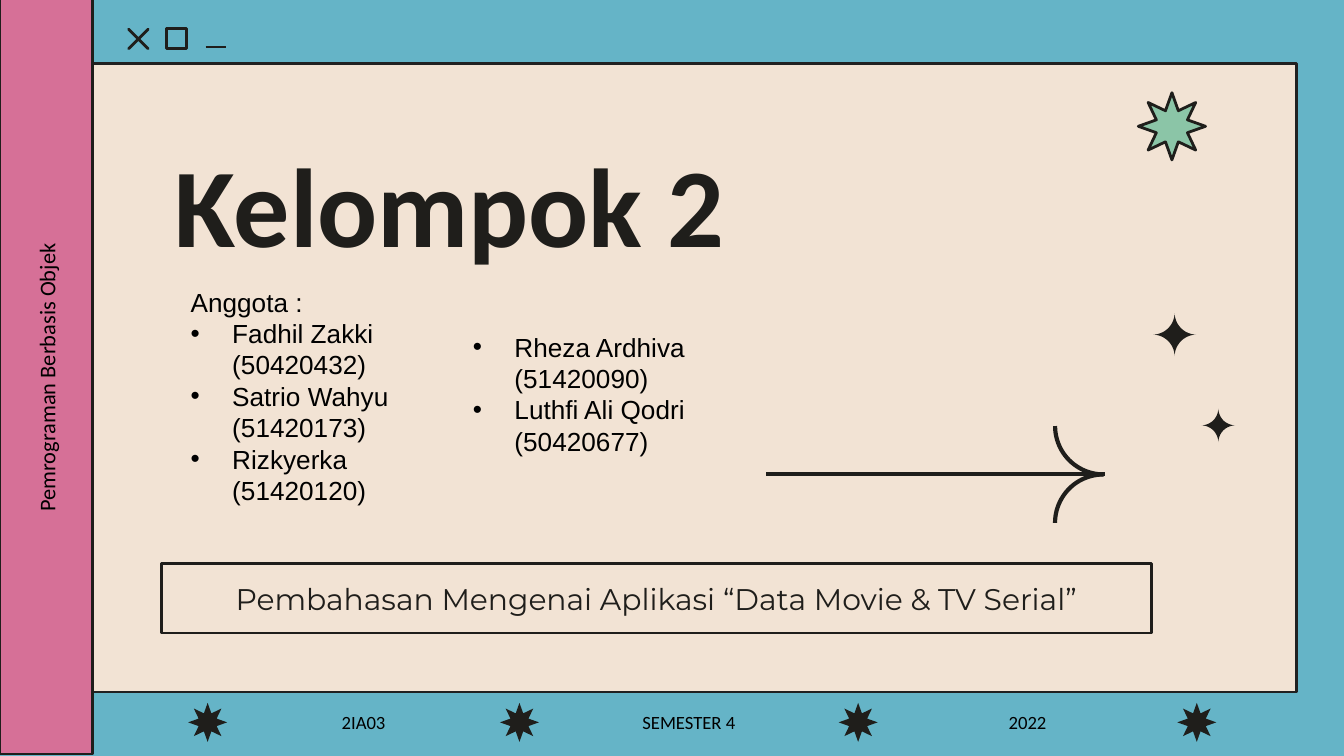
"""Builds the opening slide of group 2 in a retro window style."""
from math import cos, sin, pi, copysign

from lxml.etree import SubElement
from pptx import Presentation
from pptx.dml.color import RGBColor as Rgb
from pptx.enum.shapes import MSO_CONNECTOR as Link, MSO_SHAPE as Kind
from pptx.enum.text import MSO_ANCHOR as Anchor, PP_ALIGN as Align
from pptx.oxml.ns import qn
from pptx.util import Inches, Pt

CELL = Inches(0.1)
COLS, ROWS = 100, 56.25
COLORS = {
    "sky": "65B4C7", "cream": "F2E3D4", "pink": "D67097", "mint": "8BC5A7",
    "ink": "1F1E1B", "frame": "212121", "blue": "1257CC", "black": "000000",
}


def grid(*cells):
    return [round(cell * CELL) for cell in cells]


def color(name):
    return Rgb.from_string(COLORS[name])


def paint(shape, fill=None, line=None, weight=1.5):
    shape.shadow.inherit = False
    if fill:
        shape.fill.solid()
        shape.fill.fore_color.rgb = color(fill)
    else:
        shape.fill.background()
    if line:
        shape.line.color.rgb = color(line)
        shape.line.width = Pt(weight)
    else:
        shape.line.fill.background()


def add_preset(page, kind, area, fill=None, line="ink", weight=1.5, turn=0):
    shape = page.shapes.add_shape(kind, *grid(*area))
    paint(shape, fill, line, weight)
    shape.rotation = turn
    return shape


def add_line(page, start, end, weight=1.5):
    line = page.shapes.add_connector(Link.STRAIGHT, *grid(*start, *end))
    line.line.color.rgb = color("ink")
    line.line.width = Pt(weight)
    SubElement(line._element.spPr, qn("a:effectLst"))


def add_outline(page, points, fill="ink", line=None):
    first, *rest = [grid(*point) for point in points]
    builder = page.shapes.build_freeform(*first)
    builder.add_line_segments(rest, close=True)
    paint(builder.convert_to_shape(), fill, line)


def add_burst(page, x, y, radius, fill="ink", line=None):
    points = []
    for step in range(16):
        reach = radius / (1 + step % 2)
        angle = step * pi / 8
        points.append((x + reach * sin(angle), y - reach * cos(angle)))
    add_outline(page, points, fill, line)


def add_sparkle(page, x, y, radius):
    def bend(value):
        return radius * copysign(abs(value) ** 3.5, value)

    angles = [step * pi / 32 for step in range(64)]
    add_outline(page, [(x + bend(cos(a)), y + bend(sin(a))) for a in angles])


def set_bullet(para):
    props = para._p.get_or_add_pPr()
    props.set("marL", str(Inches(0.31)))
    props.set("indent", str(-Inches(0.31)))
    tint = SubElement(props, qn("a:buClr"))
    SubElement(tint, qn("a:srgbClr")).set("val", COLORS["black"])
    SubElement(props, qn("a:buFont")).set("typeface", "Arial")
    SubElement(props, qn("a:buChar")).set("char", "•")


def write(box, lines, size, font="Calibri", ink="black", align=Align.CENTER,
          bold=False, spacing=1.0, bullets_from=None):
    frame = box.text_frame
    frame.word_wrap = True
    frame.vertical_anchor = Anchor.MIDDLE
    frame.margin_left = frame.margin_right = Inches(0.1)
    frame.margin_top = frame.margin_bottom = Inches(0.1)
    for index, text in enumerate(lines):
        para = frame.add_paragraph() if index else frame.paragraphs[0]
        if bullets_from is not None and index >= bullets_from:
            set_bullet(para)
        para.alignment = align
        para.line_spacing = spacing
        span = para.add_run()
        span.text = text
        span.font.size = Pt(size)
        span.font.name = font
        span.font.bold = bold
        span.font.color.rgb = color(ink)


def add_text(page, area, lines, size, **style):
    box = page.shapes.add_textbox(*grid(*area))
    write(box, lines, size, **style)
    return box


def add_window(page):
    add_preset(page, Kind.RECTANGLE, (6.9, 4.7, 89.6, 46.8), "cream", "frame")
    add_preset(page, Kind.RECTANGLE, (0, -0.1, 6.9, 56.2), "pink")
    cross = add_preset(page, Kind.MATH_MULTIPLY, (8.9, 1.5, 2.8, 2.8), "blue")
    cross.adjustments[0] = 0
    add_preset(page, Kind.RECTANGLE, (12.4, 2.1, 1.5, 1.5))
    add_line(page, (15.3, 3.5), (16.8, 3.5))


def add_footer(page):
    star, label, left, top = 2.9, 16.5, 14, 52.3
    radius = star / 2
    for text, gap in (("2IA03", 1.9), ("SEMESTER 4", 2.9), ("2022", 2.9)):
        add_burst(page, left + radius, top + radius, radius)
        left += star + gap
        add_text(page, (left, top, label, star), [text], 10)
        left += label + gap
    add_burst(page, left + radius, top + radius, radius)


def add_arrow(page):
    add_line(page, (57, 35.3), (82.2, 35.3), 2.25)
    for top, turn in ((35.3, 270), (28.1, 180)):
        add_preset(page, Kind.ARC, (78.5, top, 7.2, 7.2), weight=2.25, turn=turn)


def main():
    deck = Presentation()
    deck.slide_width, deck.slide_height = grid(COLS, ROWS)
    page = deck.slides.add_slide(deck.slide_layouts[6])
    page.background.fill.solid()
    page.background.fill.fore_color.rgb = color("sky")

    add_window(page)
    add_text(page, (12, -0.8, 73.7, 33), ["Kelompok 2"], 60, ink="ink",
             align=Align.LEFT, bold=True, spacing=0.9)
    topic = add_preset(page, Kind.RECTANGLE, (12, 41.9, 73.7, 5.2))
    write(topic, ["Pembahasan Mengenai Aplikasi “Data Movie & TV Serial”"], 16,
          font="Montserrat", ink="ink")
    course = add_text(page, (-14.5, 25.5, 35.9, 5.2),
                      ["Pemrograman Berbasis Objek"], 12)
    course.rotation = 270

    add_footer(page)
    add_arrow(page)
    add_sparkle(page, 90.65, 31.65, 1.25)
    add_sparkle(page, 87.4, 24.9, 1.6)
    add_burst(page, 87.2, 9.4, 2.5, "mint", "ink")

    members = {"size": 14, "font": "Arial", "align": Align.LEFT}
    add_text(page, (13.2, 19.2, 21, 20.5),
             ["Anggota :", "Fadhil Zakki (50420432)",
              "Satrio Wahyu (51420173)", "Rizkyerka (51420120)"],
             bullets_from=1, **members)
    add_text(page, (34.2, 21.2, 21.4, 16.2),
             ["Rheza Ardhiva (51420090)", "Luthfi Ali Qodri (50420677)"],
             bullets_from=0, **members)
    deck.save("out.pptx")


if __name__ == "__main__":
    main()
